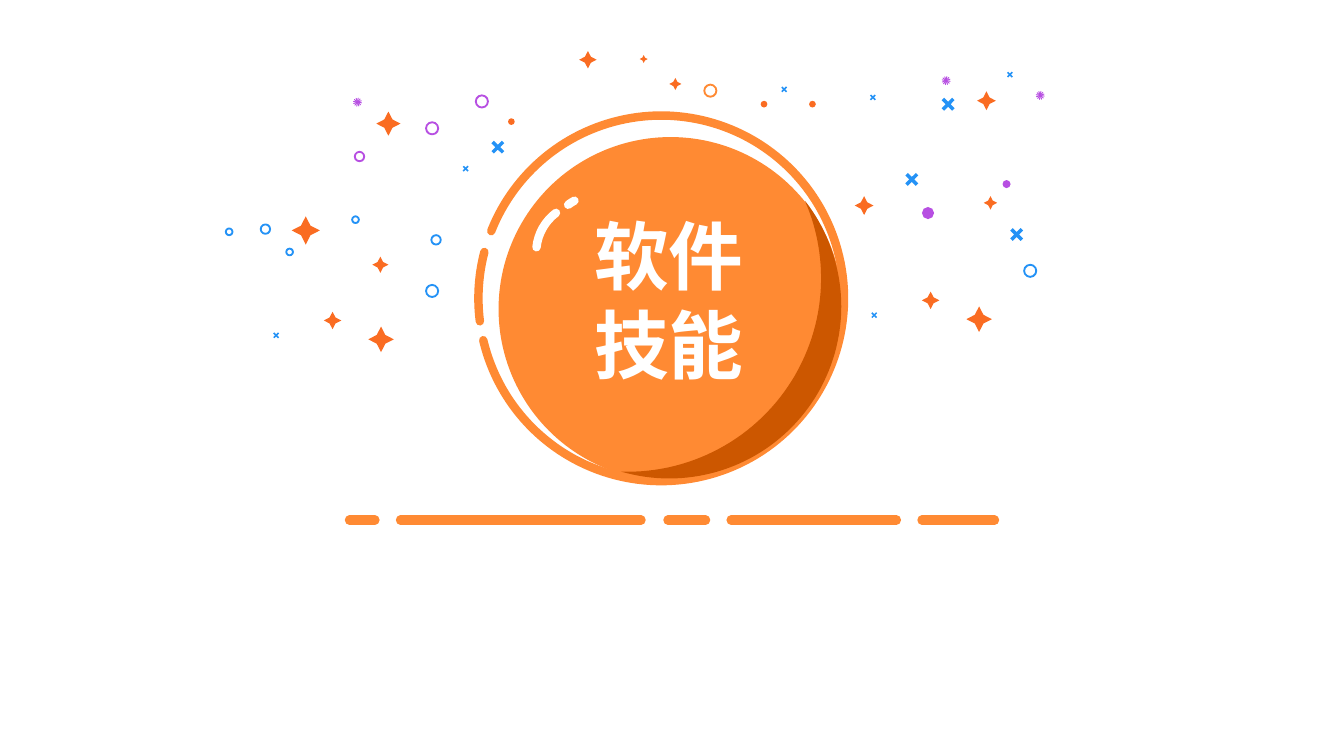
"""Build the section slide with an orange ball and scattered sparkles."""
from math import cos, radians, sin

from lxml import etree
from pptx import Presentation
from pptx.dml.color import RGBColor
from pptx.enum.shapes import MSO_CONNECTOR, MSO_SHAPE
from pptx.enum.text import MSO_ANCHOR, PP_ALIGN
from pptx.oxml.ns import qn
from pptx.util import Inches, Pt

COLORS = {
    "orange": "FF8A33",
    "shade": "CC5700",
    "spark": "FA6C22",
    "blue": "2492F6",
    "purple": "B74FE2",
    "white": "FFFFFF",
}


def add_mark(preset, left, top, size, fill=None, line=None, width=1, adjust=()):
    mark = slide.shapes.add_shape(
        preset, Inches(left), Inches(top), Inches(size), Inches(size)
    )
    mark.shadow.inherit = False
    for position, value in enumerate(adjust):
        mark.adjustments[position] = value
    if fill:
        mark.fill.solid()
        mark.fill.fore_color.rgb = RGBColor.from_string(COLORS[fill])
    else:
        mark.fill.background()
    if line:
        mark.line.color.rgb = RGBColor.from_string(COLORS[line])
        mark.line.width = Pt(width)
        mark._element.spPr.find(qn("a:ln")).set("cap", "rnd")
    else:
        mark.line.fill.background()
    return mark


def write_text(frame, text, *, size, color, font, bold=False, spacing=None):
    frame.word_wrap = True
    frame.vertical_anchor = MSO_ANCHOR.MIDDLE
    paragraph = frame.paragraphs[0]
    paragraph.alignment = PP_ALIGN.CENTER
    paragraph.line_spacing = spacing
    run = paragraph.add_run()
    run.text = text
    run.font.size = Pt(size)
    run.font.bold = bold
    run.font.name = font
    run.font.color.rgb = RGBColor.from_string(COLORS[color])
    etree.SubElement(run.font._element, qn("a:ea")).set("typeface", font)


prs = Presentation()
prs.slide_width = Inches(10)
prs.slide_height = prs.slide_width * 9 // 16
slide = prs.slides.add_slide(prs.slide_layouts[5])

add_mark(MSO_SHAPE.OVAL, 3.71, 1.02, 2.56, fill="orange")
for start, end in [(120.93, 100.06), (103.66, 116.81)]:
    add_mark(MSO_SHAPE.BLOCK_ARC, 3.56, 0.86, 2.72, line="orange", width=4.5,
             adjust=(start, end, 0))

outer_edge = [(4.98 + 1.28 * cos(radians(a)), 2.28 + 1.28 * sin(radians(a)))
              for a in range(-38, 107, 2)]
inner_edge = [(4.67 + 1.44 * cos(radians(a)), 2.07 + 1.44 * sin(radians(a)))
              for a in range(92, -24, -2)]
crescent_points = [(Inches(x), Inches(y)) for x, y in outer_edge + inner_edge]
outline = slide.shapes.build_freeform(*crescent_points[0])
outline.add_line_segments(crescent_points[1:], close=True)
crescent = outline.convert_to_shape()
crescent.shadow.inherit = False
crescent.fill.solid()
crescent.fill.fore_color.rgb = RGBColor.from_string(COLORS["shade"])
crescent.line.fill.background()

title = slide.shapes.title
title.left, title.top = Inches(4.09), Inches(1.5)
title.width, title.height = Inches(1.77), Inches(1.45)
write_text(title.text_frame, "软件技能", size=40, color="white",
           font="Noto Sans CJK SC", bold=True, spacing=Pt(48))
slide.shapes._spTree.append(title._element)

strokes = [
    (x1, 3.87, x2, 3.87, "orange", 5)
    for x1, x2 in [(2.6, 2.79), (2.98, 4.77), (4.97, 5.25), (5.44, 6.67), (6.86, 7.4)]
]
for x, y in [(7.04, 0.6), (7.74, 0.71), (2.66, 0.76)]:
    for angle in range(10, 190, 30):
        dx, dy = 0.03 * cos(radians(angle)), 0.03 * sin(radians(angle))
        strokes.append((x - dx, y - dy, x + dx, y + dy, "purple", 0.5))
for x1, y1, x2, y2, color, width in strokes:
    stroke = slide.shapes.add_connector(
        MSO_CONNECTOR.STRAIGHT, Inches(x1), Inches(y1), Inches(x2), Inches(y2)
    )
    stroke.line.color.rgb = RGBColor.from_string(COLORS[color])
    stroke.line.width = Pt(width)
    stroke._element.spPr.find(qn("a:ln")).set("cap", "rnd")
    etree.SubElement(stroke._element.spPr, qn("a:effectLst"))

sparkles = [
    (2.8, 0.83, 0.18), (4.31, 0.38, 0.13), (4.98, 0.58, 0.09), (4.76, 0.41, 0.06),
    (6.86, 2.17, 0.13), (2.17, 1.61, 0.21), (6.36, 1.46, 0.14), (7.32, 1.46, 0.1),
    (7.19, 2.28, 0.19), (2.77, 1.91, 0.12), (7.27, 0.68, 0.14), (2.41, 2.32, 0.13),
    (2.74, 2.43, 0.19),
]
for left, top, size in sparkles:
    add_mark(MSO_SHAPE.STAR_4_POINT, left, top, size, fill="spark", adjust=(0.24,))

dots = [
    (5.66, 0.75, 0.05, "spark"), (6.02, 0.75, 0.05, "spark"), (3.78, 0.88, 0.05, "spark"),
    (6.86, 1.54, 0.09, "purple"), (7.46, 1.34, 0.06, "purple"),
]
for left, top, size, color in dots:
    add_mark(MSO_SHAPE.STAR_4_POINT, left, top, size, fill=color, adjust=(0.5,))

crosses = [
    (6.47, 0.7, 0.05), (7.49, 0.53, 0.05), (7, 0.72, 0.11), (5.81, 0.64, 0.05),
    (6.48, 2.32, 0.05), (6.73, 1.28, 0.11), (7.51, 1.69, 0.11), (3.65, 1.04, 0.11),
    (3.44, 1.23, 0.05), (2.03, 2.47, 0.05),
]
for left, top, size in crosses:
    cross = add_mark(MSO_SHAPE.CROSS, left, top, size, fill="blue", adjust=(0.38,))
    cross.rotation = 315

rings = [
    (7.62, 1.97, 0.09, "blue"), (1.68, 1.7, 0.05, "blue"), (3.21, 1.75, 0.07, "blue"),
    (1.94, 1.67, 0.07, "blue"), (2.13, 1.85, 0.05, "blue"), (2.62, 1.61, 0.05, "blue"),
    (3.17, 2.12, 0.09, "blue"), (3.17, 0.91, 0.09, "purple"), (3.54, 0.71, 0.09, "purple"),
    (2.64, 1.13, 0.07, "purple"), (5.24, 0.63, 0.09, "orange"),
]
for left, top, size, color in rings:
    add_mark(MSO_SHAPE.OVAL, left, top, size, line=color)

for left, top, start, end in [(4.08, 1.45, 178.92, 184.15), (3.99, 1.51, 184.21, 212.3)]:
    gleam = add_mark(MSO_SHAPE.BLOCK_ARC, left, top, 0.74, line="white", width=4.5,
                     adjust=(start, end, 0))
    gleam._element.spPr.find(qn("a:xfrm")).set("flipH", "1")

prs.save("out.pptx")
